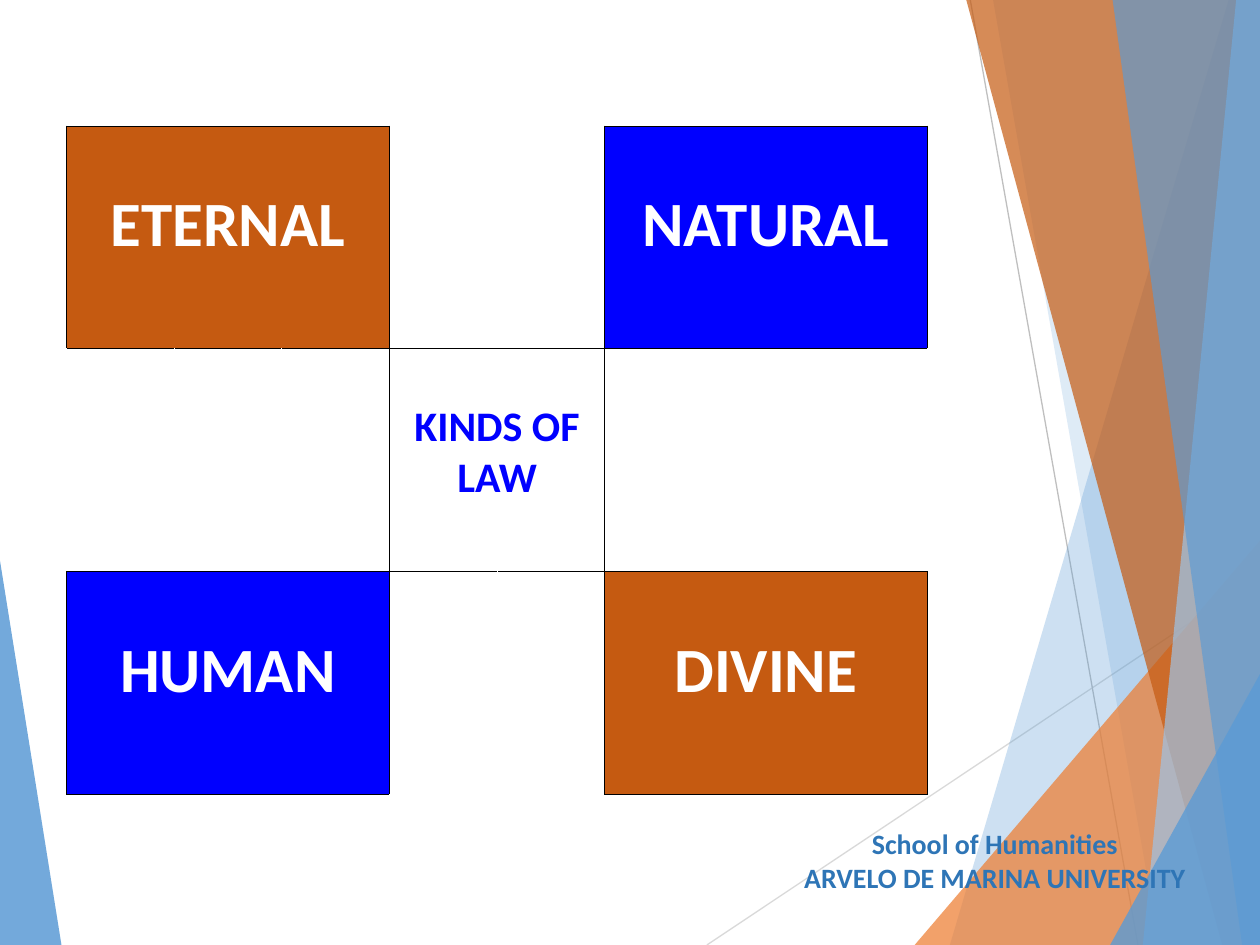
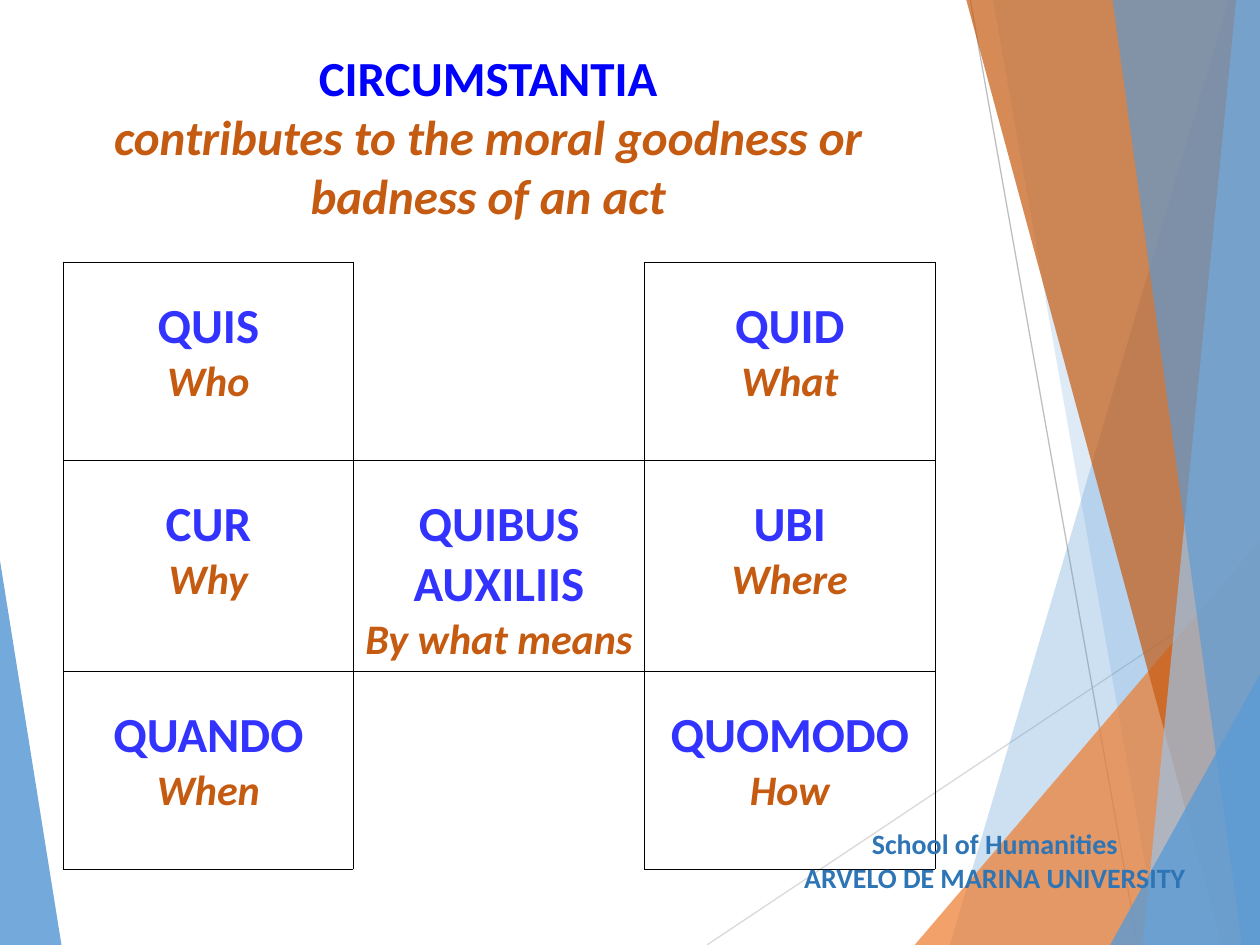
from pptx import Presentation
from pptx.dml.color import RGBColor
from pptx.enum.shapes import MSO_CONNECTOR
from pptx.enum.text import MSO_ANCHOR, PP_ALIGN
from pptx.oxml.ns import qn
from pptx.util import Cm, Pt
from lxml.etree import SubElement

WHITE = RGBColor(0xFF, 0xFF, 0xFF)
BLACK = RGBColor(0x00, 0x00, 0x00)
BLUE = RGBColor(0x00, 0x00, 0xFF)
SOFT_BLUE = RGBColor(0x33, 0x33, 0xFF)
FOOTER_BLUE = RGBColor(0x2E, 0x75, 0xB6)
RIBBON_BLUE = RGBColor(0x5B, 0x9B, 0xD5)
PALE_BLUE = RGBColor(0x9D, 0xC3, 0xE6)
ORANGE = RGBColor(0xED, 0x7D, 0x31)
RUST = RGBColor(0xC5, 0x5A, 0x11)
LIGHT_GREY = RGBColor(0xD9, 0xD9, 0xD9)
GREY = RGBColor(0xBF, 0xBF, 0xBF)

FONT = "Calibri"
WIDTH, HEIGHT = 25.4, 19.05

LEFT_RIBBON = ([(0, 11.3), (1.24, HEIGHT), (0, HEIGHT)], RIBBON_BLUE, 85)
THIN_LINES = [
    ((14.25, HEIGHT), (WIDTH, 11.61), LIGHT_GREY),
    ((19.56, 0), (22.94, HEIGHT), GREY),
]


def band(top_x, bottom_x):
    """Outline from a slanted left edge to the right side of the slide."""
    return [(top_x, 0), (bottom_x, HEIGHT), (WIDTH, HEIGHT), (WIDTH, 0)]


def corner(bottom_x, right_y):
    """Triangle in the bottom right corner of the slide."""
    return [(bottom_x, HEIGHT), (WIDTH, right_y), (WIDTH, HEIGHT)]


RIGHT_RIBBONS = [
    (band(24.77, 19.15), RIBBON_BLUE, 30),
    (band(20.02, 23.37), RIBBON_BLUE, 20),
    (corner(18.44, 10.9), ORANGE, 72),
    (band(19.48, 24.64), RUST, 70),
    (band(24.92, 23.04), PALE_BLUE, 70),
    (band(22.43, 25.04), RIBBON_BLUE, 65),
    (corner(22.38, 13.59), RIBBON_BLUE, 80),
]


class Deck:
    """The presentation, its shared style and the slide being built."""

    def __init__(self):
        self.presentation = Presentation()
        self.presentation.slide_width = Cm(WIDTH)
        self.presentation.slide_height = Cm(HEIGHT)
        self.slide = None

    def add_slide(self):
        self.slide = self.presentation.slides.add_slide(
            self.presentation.slide_layouts[6])
        self.add_ribbon(*LEFT_RIBBON)
        for start, end, color in THIN_LINES:
            self.add_line(start, end, color)
        for ribbon in RIGHT_RIBBONS:
            self.add_ribbon(*ribbon)

    def add_ribbon(self, points, color, opacity):
        corners = [(Cm(x), Cm(y)) for x, y in points]
        builder = self.slide.shapes.build_freeform(*corners[0])
        builder.add_line_segments(corners[1:], close=True)
        shape = builder.convert_to_shape()
        shape.shadow.inherit = False
        shape.line.fill.background()
        shape.fill.solid()
        shape.fill.fore_color.rgb = color
        color_element = next(shape._element.spPr.iter(qn("a:srgbClr")))
        SubElement(color_element, qn("a:alpha"), val=str(opacity * 1000))

    def add_line(self, start, end, color):
        line = self.slide.shapes.add_connector(
            MSO_CONNECTOR.STRAIGHT, *(Cm(value) for value in start + end))
        line.line.color.rgb = color
        line.line.width = Pt(0.75)
        SubElement(line._element.spPr, qn("a:effectLst"))

    def add_run(self, paragraph, text, size, color, italic=False):
        paragraph.alignment = PP_ALIGN.CENTER
        run = paragraph.add_run()
        run.text = text
        run.font.name = FONT
        run.font.size = Pt(size)
        run.font.bold = True
        run.font.italic = italic
        run.font.color.rgb = color

    def add_text(self, left, top, width, height, lines):
        """One centred paragraph; each line is the arguments of a run."""
        box = self.slide.shapes.add_textbox(
            Cm(left), Cm(top), Cm(width), Cm(height))
        frame = box.text_frame
        frame.word_wrap = True
        frame.vertical_anchor = MSO_ANCHOR.TOP
        paragraph = frame.paragraphs[0]
        for index, line in enumerate(lines):
            if index:
                paragraph.add_line_break()
            self.add_run(paragraph, *line)

    def add_footer(self):
        self.add_text(15.9, 16.54, 8.31, 1.63, [
            ("School of Humanities", 16, FOOTER_BLUE),
            ("ARVELO DE MARINA UNIVERSITY", 16, FOOTER_BLUE),
        ])

    def add_checkerboard(self, left, top, widths, heights, entries, margin):
        """Table where only cells with text are outlined.

        entries maps (row, column) to (column span, fill, top margin, runs).
        """
        frame = self.slide.shapes.add_table(
            len(heights), len(widths), Cm(left), Cm(top),
            Cm(sum(widths)), Cm(sum(heights)))
        table = frame.table
        table.first_row = table.horz_banding = False
        for column, width in zip(table.columns, widths):
            column.width = Cm(width)
        for row, height in zip(table.rows, heights):
            row.height = Cm(height)

        owners = {(row, column + offset): (row, column)
                  for (row, column), entry in entries.items()
                  for offset in range(entry[0])}
        for row in range(len(heights)):
            for column in range(len(widths)):
                cell = table.cell(row, column)
                self.outline_cell(cell, row, column, owners)
                owner = owners.get((row, column))
                self.fill_cell(cell, entries[owner][1] if owner else WHITE)

        for (row, column), (span, _, margin_top, runs) in entries.items():
            cell = table.cell(row, column)
            if span > 1:
                cell.merge(table.cell(row, column + span - 1))
            cell.margin_left = cell.margin_right = Cm(margin)
            cell.margin_top = Cm(margin_top)
            text_frame = cell.text_frame
            for index, run in enumerate(runs):
                paragraph = (text_frame.add_paragraph() if index
                             else text_frame.paragraphs[0])
                self.add_run(paragraph, *run)

    def fill_cell(self, cell, color):
        if color is None:
            cell.fill.background()
        else:
            cell.fill.solid()
            cell.fill.fore_color.rgb = color

    def outline_cell(self, cell, row, column, owners):
        """Black around and beside text, white between blank cells."""
        properties = cell._tc.get_or_add_tcPr()
        sides = {"L": (0, -1), "R": (0, 1), "T": (-1, 0), "B": (1, 0)}
        for side, (down, across) in sides.items():
            beside_text = ((row, column) in owners
                           or (row + down, column + across) in owners)
            color = BLACK if beside_text else WHITE
            line = SubElement(properties, qn(f"a:ln{side}"), w=str(Pt(0.45)))
            fill = SubElement(line, qn("a:solidFill"))
            SubElement(fill, qn("a:srgbClr"), val=str(color))


def add_kinds_of_law(deck):
    deck.add_slide()

    def kind(text, span, fill):
        return span, fill, 1.22, [(text, 36, WHITE)]

    entries = {
        (0, 0): kind("ETERNAL", 3, RUST),
        (0, 5): kind("NATURAL", 1, BLUE),
        (1, 3): (2, None, 1.07, [("KINDS OF LAW", 24, BLUE)]),
        (2, 0): kind("HUMAN", 3, BLUE),
        (2, 5): kind("DIVINE", 1, RUST),
    }
    deck.add_checkerboard(
        1.34, 2.54, [2.17] * 5 + [6.5], [4.49] * 3, entries, 0.25)
    deck.add_footer()


def add_circumstances(deck):
    deck.add_slide()
    deck.add_text(0.85, 0.84, 17.98, 3.61, [
        ("CIRCUMSTANTIA", 28, BLUE),
        ("contributes to the moral goodness or badness of an act",
         28, RUST, True),
    ])
    questions = {
        (0, 0): ("QUIS", "Who"),
        (0, 2): ("QUID", "What"),
        (1, 0): ("CUR", "Why"),
        (1, 1): ("QUIBUS AUXILIIS", "By what means"),
        (1, 2): ("UBI", "Where"),
        (2, 0): ("QUANDO", "When"),
        (2, 2): ("QUOMODO", "How"),
    }
    entries = {
        place: (1, None, 0.7,
                [(latin, 28, SOFT_BLUE), (english, 24, RUST, True)])
        for place, (latin, english) in questions.items()
    }
    deck.add_checkerboard(
        1.27, 5.28, [5.86] * 3, [3.99, 4.26, 3.99], entries, 0.2)
    deck.add_footer()


def main():
    deck = Deck()
    add_kinds_of_law(deck)
    add_circumstances(deck)
    deck.presentation.save("out.pptx")


if __name__ == "__main__":
    main()
